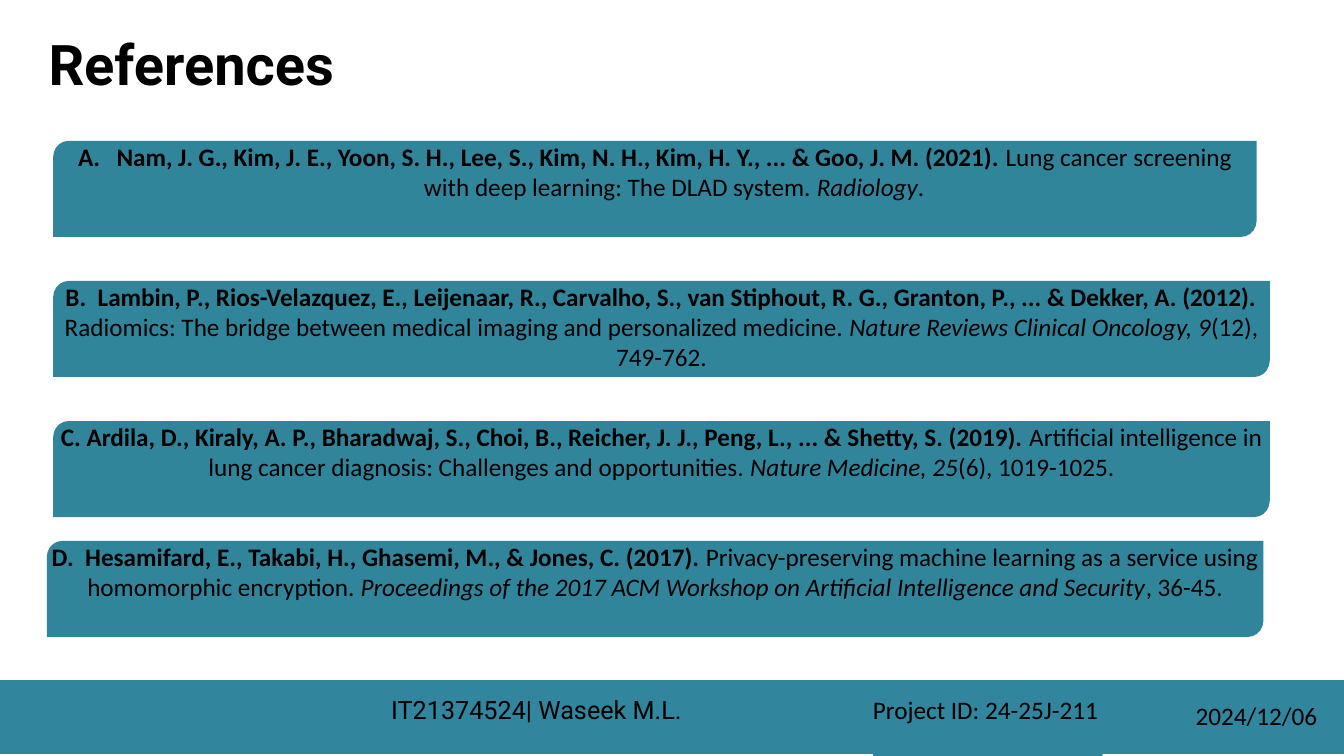
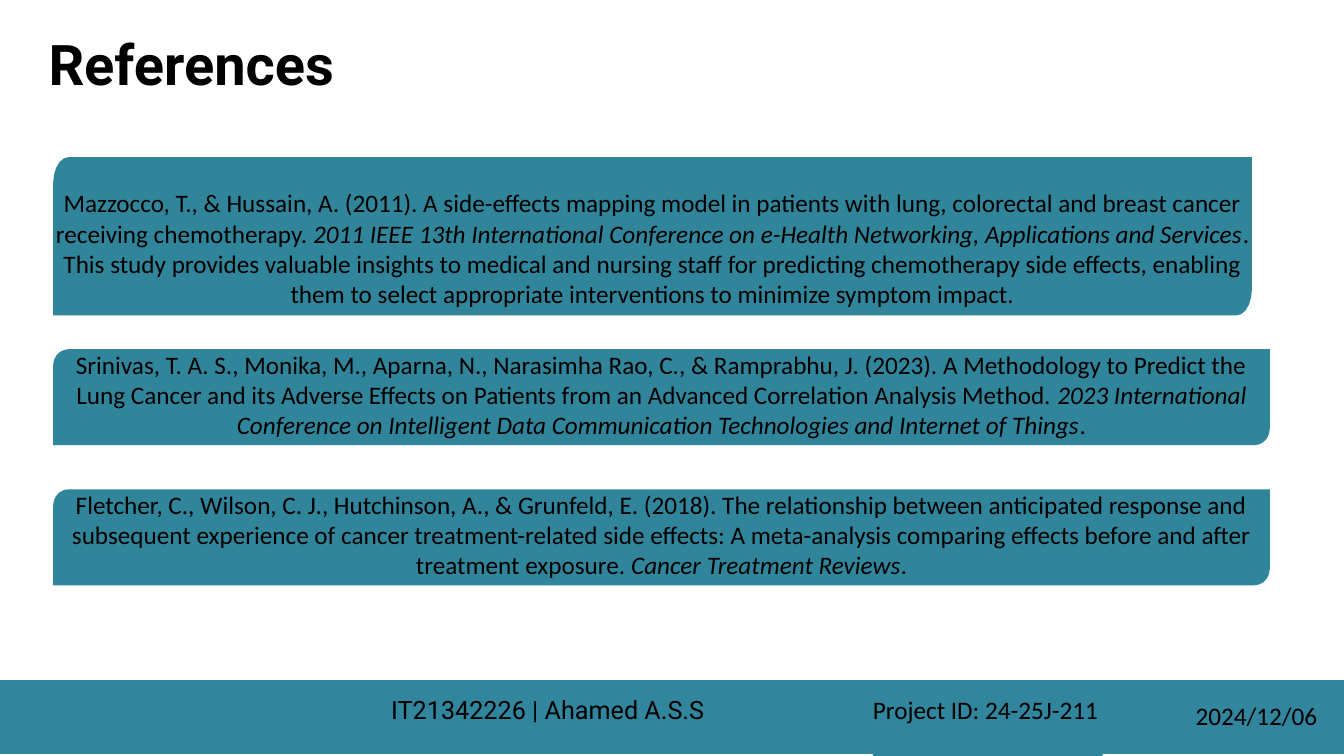
from dataclasses import dataclass
from math import cos, pi, sin

from lxml import etree
from pptx import Presentation
from pptx.dml.color import RGBColor
from pptx.enum.shapes import MSO_SHAPE
from pptx.enum.text import MSO_ANCHOR, MSO_AUTO_SIZE, PP_ALIGN
from pptx.oxml.ns import qn
from pptx.shapes.autoshape import Shape
from pptx.slide import Slide
from pptx.text.text import TextFrame, _Paragraph
from pptx.util import Cm, Pt

RECTANGLE = MSO_SHAPE.RECTANGLE
TOP = MSO_ANCHOR.TOP
NO_AUTOFIT = MSO_AUTO_SIZE.NONE
LEFT, CENTER = PP_ALIGN.LEFT, PP_ALIGN.CENTER

CARD_TEAL = "31859B"
FOOTER_TEAL = "31859C"
BLACK = "000000"
BODY_FONT = "Calibri"
TITLE_FONT = "Roboto"

TITLE_ONLY_LAYOUT = 5
CORNER_STEPS = 5
NUMBER_INDENT = 0.97


@dataclass(frozen=True)
class Span:
    text: str
    bold: bool = False
    italic: bool = False


@dataclass(frozen=True)
class Card:
    """One reference box; lengths are in centimetres."""
    top: float
    spans: tuple[Span, ...]
    left: float = 1.34
    width: float = 30.66
    height: float = 2.42
    corner_width: float = 0.39
    corner_height: float = 0.41
    text_top: float = 0
    numbered: bool = False


@dataclass(frozen=True)
class FooterBox:
    left: float
    top: float
    width: float
    height: float
    text: str
    font: str = BODY_FONT


@dataclass(frozen=True)
class Page:
    author: str
    cards: tuple[Card, ...]


PAGES = (
    Page("IT21374524| Waseek M.L.", (
        Card(3.55, (
            Span("Nam, J. G., Kim, J. E., Yoon, S. H., Lee, S., Kim, N. H., Kim, H. Y., ... "
                 "& Goo, J. M. (2021).", bold=True),
            Span(" Lung cancer screening with deep learning: The DLAD system. "),
            Span("Radiology", italic=True),
            Span("."),
        ), width=30.33, numbered=True),
        Card(7.08, (
            Span("B.  Lambin, P., Rios-Velazquez, E., Leijenaar, R., Carvalho, S., "
                 "van Stiphout, R. G., Granton, P., ... & Dekker, A. (2012).", bold=True),
            Span(" Radiomics: The bridge between medical imaging and personalized medicine. "),
            Span("Nature Reviews Clinical Oncology, 9", italic=True),
            Span("(12), 749-762."),
        )),
        Card(10.61, (
            Span("C. Ardila, D., Kiraly, A. P., Bharadwaj, S., Choi, B., Reicher, J. J., "
                 "Peng, L., ... & Shetty, S. (2019).", bold=True),
            Span(" Artificial intelligence in lung cancer diagnosis: "
                 "Challenges and opportunities. "),
            Span("Nature Medicine, 25", italic=True),
            Span("(6), 1019-1025."),
        )),
        Card(13.63, (
            Span("D.  Hesamifard, E., Takabi, H., Ghasemi, M., & Jones, C. (2017).", bold=True),
            Span(" Privacy-preserving machine learning as a service using "
                 "homomorphic encryption. "),
            Span("Proceedings of the 2017 ACM Workshop on Artificial Intelligence "
                 "and Security", italic=True),
            Span(", 36-45."),
        ), left=1.18),
    )),
    Page("IT21342226 | Ahamed A.S.S", (
        Card(3.96, (
            Span("Mazzocco, T., & Hussain, A. (2011). A side-effects mapping model in patients "
                 "with lung, colorectal and breast cancer receiving chemotherapy. "),
            Span("2011 IEEE 13th International Conference on e-Health Networking, "
                 "Applications and Services", italic=True),
            Span(". This study provides valuable insights to medical and nursing staff for "
                 "predicting chemotherapy side effects, enabling them to select appropriate "
                 "interventions to minimize symptom impact."),
        ), width=30.21, height=3.99, corner_height=0.66, text_top=0.77),
        Card(8.8, (
            Span("Srinivas, T. A. S., Monika, M., Aparna, N., Narasimha Rao, C., & Ramprabhu, J. "
                 "(2023). A Methodology to Predict the Lung Cancer and its Adverse Effects on "
                 "Patients from an Advanced Correlation Analysis Method. "),
            Span("2023 International Conference on Intelligent Data Communication Technologies "
                 "and Internet of Things", italic=True),
            Span("."),
        )),
        Card(12.33, (
            Span("Fletcher, C., Wilson, C. J., Hutchinson, A., & Grunfeld, E. (2018). "
                 "The relationship between anticipated response and subsequent experience of "
                 "cancer treatment-related side effects: A meta-analysis comparing effects "
                 "before and after treatment exposure. "),
            Span("Cancer Treatment Reviews", italic=True),
            Span("."),
        )),
    )),
)


def color(value: str) -> RGBColor:
    return RGBColor.from_string(value)


def add_span(para: _Paragraph, text: str, *, font: str = BODY_FONT, size: float = 18,
             bold: bool = False, italic: bool = False) -> None:
    span = para.add_run()
    span.text = text
    span.font.name = font
    span.font.size = Pt(size)
    span.font.bold = bold
    span.font.italic = italic
    span.font.color.rgb = color(BLACK)


def paint(shape: Shape, fill: str) -> None:
    shape.shadow.inherit = False
    shape.fill.solid()
    shape.fill.fore_color.rgb = color(fill)
    shape.line.fill.background()


def prepare_frame(shape: Shape, text_top: float = 0) -> TextFrame:
    """Wrap text from the top edge, with no inset at the other edges."""
    frame = shape.text_frame
    frame.word_wrap = True
    frame.auto_size = NO_AUTOFIT
    frame.vertical_anchor = TOP
    frame.margin_left = frame.margin_right = frame.margin_bottom = 0
    frame.margin_top = Cm(text_top)
    return frame


def add_letter_numbering(para: _Paragraph) -> None:
    properties = para._p.get_or_add_pPr()
    properties.set("marL", str(Cm(NUMBER_INDENT)))
    properties.set("indent", str(-Cm(NUMBER_INDENT)))
    bullet_color = etree.SubElement(properties, qn("a:buClr"))
    etree.SubElement(bullet_color, qn("a:srgbClr"), val=BLACK)
    etree.SubElement(properties, qn("a:buAutoNum"), type="alphaUcPeriod")


def card_outline(card: Card) -> list[tuple[int, int]]:
    """Corner points with the top left and bottom right corners rounded."""
    right, bottom = card.left + card.width, card.top + card.height
    arc = [(card.corner_width * (1 - sin(angle)), card.corner_height * (1 - cos(angle)))
           for angle in (step * pi / 2 / CORNER_STEPS for step in range(CORNER_STEPS + 1))]
    points = [(right, card.top)]
    points += [(card.left + x, card.top + y) for x, y in arc]
    points.append((card.left, bottom))
    points += [(right - x, bottom - y) for x, y in arc]
    return [(Cm(x), Cm(y)) for x, y in points]


def add_card(page: Slide, card: Card) -> None:
    start, *others = card_outline(card)
    builder = page.shapes.build_freeform(*start)
    builder.add_line_segments(others, close=True)
    box = builder.convert_to_shape()
    paint(box, CARD_TEAL)
    para = prepare_frame(box, card.text_top).paragraphs[0]
    para.alignment = CENTER
    if card.numbered:
        add_letter_numbering(para)
    for span in card.spans:
        add_span(para, span.text, bold=span.bold, italic=span.italic)


def add_title(page: Slide, text: str) -> None:
    title = page.shapes.title
    title.left, title.top, title.width, title.height = Cm(0.97), Cm(0.61), Cm(16.71), Cm(1.96)
    frame = title.text_frame
    frame.auto_size = NO_AUTOFIT
    frame.vertical_anchor = TOP
    para = frame.paragraphs[0]
    para.alignment = LEFT
    add_span(para, text, font=TITLE_FONT, size=40, bold=True)


def add_footer_box(page: Slide, footer: FooterBox) -> None:
    box = page.shapes.add_shape(RECTANGLE, Cm(footer.left), Cm(footer.top),
                                Cm(footer.width), Cm(footer.height))
    paint(box, FOOTER_TEAL)
    if footer.text:
        para = prepare_frame(box).paragraphs[0]
        para.alignment = LEFT
        add_span(para, footer.text, font=footer.font)


def add_footer(page: Slide, author: str) -> None:
    for footer in (
        FooterBox(0, 17.14, 33.87, 1.86, ""),
        FooterBox(9.86, 17.5, 9.78, 1.5, author, TITLE_FONT),
        FooterBox(30.13, 17.65, 3.15, 0.76, "2024/12/06"),
        FooterBox(22, 17.5, 5.79, 1.55, "Project ID: 24-25J-211"),
    ):
        add_footer_box(page, footer)


def main() -> None:
    deck = Presentation()
    deck.slide_width, deck.slide_height = Cm(33.87), Cm(19.05)
    for content in PAGES:
        page = deck.slides.add_slide(deck.slide_layouts[TITLE_ONLY_LAYOUT])
        add_title(page, "References")
        for card in content.cards:
            add_card(page, card)
        add_footer(page, content.author)
    deck.save("out.pptx")


if __name__ == "__main__":
    main()
